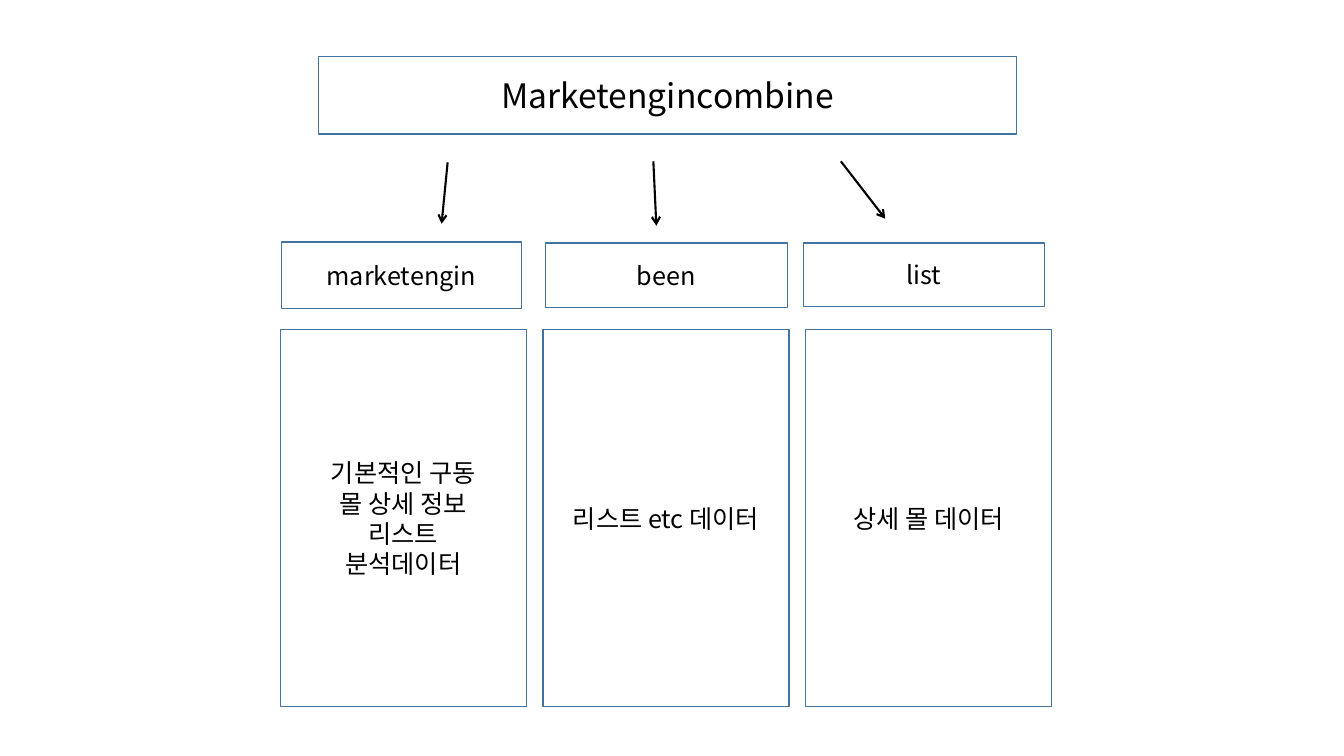
from collections import namedtuple
from dataclasses import dataclass
from lxml.etree import SubElement
from pptx import Presentation
from pptx.dml.color import RGBColor
from pptx.enum.shapes import MSO_CONNECTOR, MSO_SHAPE
from pptx.enum.text import MSO_ANCHOR, PP_ALIGN
from pptx.oxml.ns import qn
from pptx.util import Inches, Pt


@dataclass(frozen=True)
class Theme:
    """Colours, font and sizes of the slide."""
    paper: RGBColor = RGBColor(0xFF, 0xFF, 0xFF)
    edge: RGBColor = RGBColor(0x43, 0x73, 0x9E)
    ink: RGBColor = RGBColor(0, 0, 0)
    font: str = "Noto Sans CJK KR"
    title: int = 24
    text: int = 18
    lead: float = 21.6
    frame: float = 1
    arrow: float = 1.5


Box = namedtuple("Box", "left top width height")
Part = namedtuple("Part", "name head start end lines")

THEME = Theme()
CELL = Inches(0.1)  # one column or row of the slide grid
TITLE = Box(31.6, 5.6, 69.2, 7.7)
FIRST = Box(27.8, 16, 24.4, 54.1)
STEP = 26.05
BODY = 16.7  # rows from the top of a column to its body

# Heads and arrows are placed from the top left of their column.
PARTS = [
    Part("marketengin", Box(0.1, 8, 23.8, 6.6), (16.6, 0.1), (16, 6.2),
         ["기본적인 구동", "몰 상세 정보", "리스트", "분석데이터"]),
    Part("been", Box(0.25, 8.1, 24, 6.4), (10.95, 0), (11.25, 6.4),
         ["리스트 etc 데이터"]),
    Part("list", Box(-0.2, 8.1, 23.9, 6.3), (3.5, 0), (7.9, 5.7),
         ["상세 몰 데이터"]),
]


def grid(*cells):
    """Turn grid counts into slide lengths."""
    return [round(CELL * n) for n in cells]


def inside(box, part):
    """Shift a part from its column to the slide."""
    return part._replace(left=box.left + part.left, top=box.top + part.top)


def add_text(para, text, size):
    """Add one centred run to a paragraph."""
    para.alignment = PP_ALIGN.CENTER
    run = para.add_run()
    run.text = text
    run.font.size = Pt(size)
    run.font.color.rgb = THEME.ink
    run.font.name = THEME.font
    SubElement(run.font._element, qn("a:ea"), typeface=THEME.font)


def add_frame(slide, box, lines, size):
    """Draw a framed box with lines of centred text."""
    shape = slide.shapes.add_shape(MSO_SHAPE.RECTANGLE, *grid(*box))
    shape.shadow.inherit = False
    shape.fill.solid()
    shape.fill.fore_color.rgb = THEME.paper
    shape.line.color.rgb = THEME.edge
    shape.line.width = Pt(THEME.frame)
    frame = shape.text_frame
    frame.word_wrap = True
    frame.vertical_anchor = MSO_ANCHOR.MIDDLE
    for i, line in enumerate(lines):
        para = frame.add_paragraph() if i else frame.paragraphs[0]
        if len(lines) > 1:
            para.line_spacing = Pt(THEME.lead)
        add_text(para, line, size)


def add_arrow(slide, box, start, end):
    """Draw an arrow between two points of a column."""
    ends = [n for x, y in (start, end) for n in (box.left + x, box.top + y)]
    line = slide.shapes.add_connector(MSO_CONNECTOR.STRAIGHT, *grid(*ends))
    line.line.color.rgb = THEME.ink
    line.line.width = Pt(THEME.arrow)
    SubElement(line.line._get_or_add_ln(), qn("a:tailEnd"), type="arrow")
    SubElement(line._element.spPr, qn("a:effectLst"))


def add_column(slide, box, part):
    """Place the arrow, head and body of one column."""
    add_arrow(slide, box, part.start, part.end)
    add_frame(slide, inside(box, part.head), [part.name], THEME.text)
    body = Box(0, BODY, box.width, box.height - BODY)
    add_frame(slide, inside(box, body), part.lines, THEME.text)


def add_tree(slide):
    """Place the title and the columns below it."""
    add_frame(slide, TITLE, ["Marketengincombine"], THEME.title)
    for i, part in enumerate(PARTS):
        add_column(slide, FIRST._replace(left=FIRST.left + i * STEP), part)


deck = Presentation()
deck.slide_width, deck.slide_height = Inches(13.33), Inches(7.5)
add_tree(deck.slides.add_slide(deck.slide_layouts[6]))
deck.save("out.pptx")
